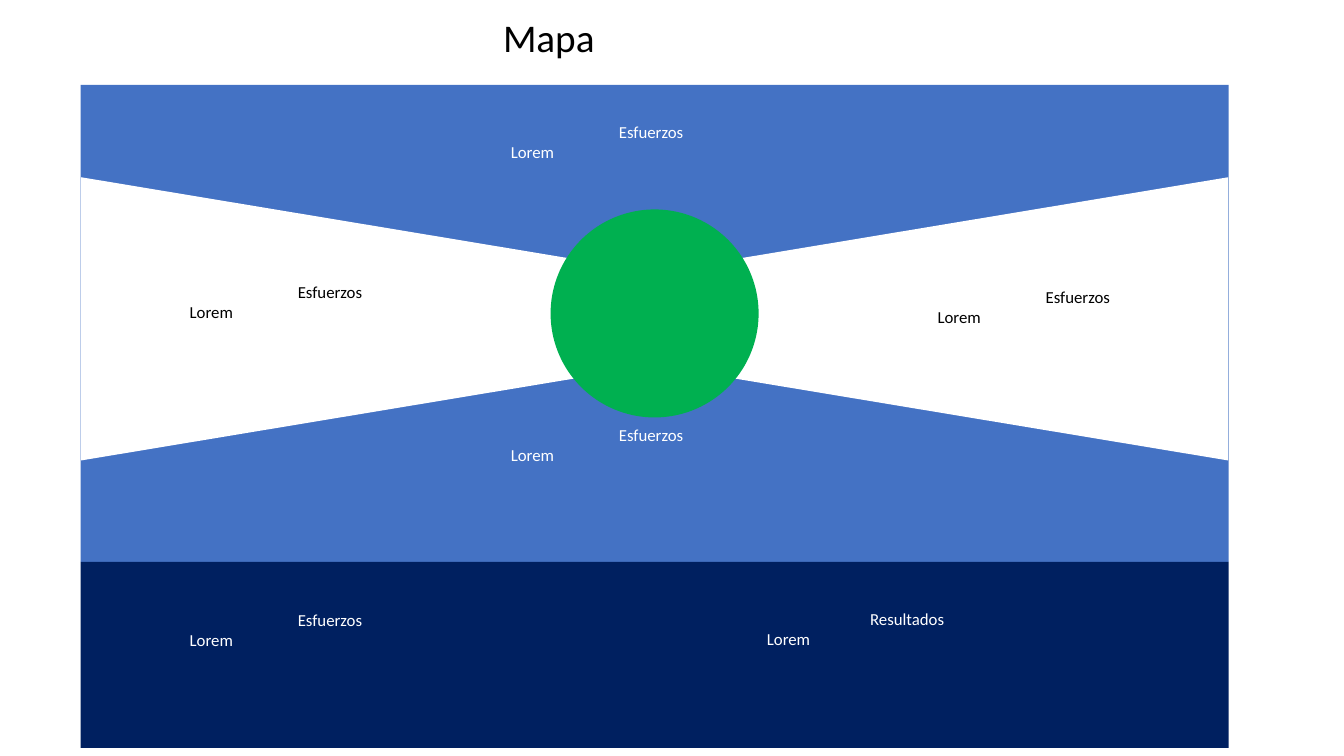
from dataclasses import dataclass

from pptx import Presentation
from pptx.dml.color import RGBColor
from pptx.enum.shapes import MSO_SHAPE
from pptx.enum.text import MSO_AUTO_SIZE, PP_ALIGN
from pptx.util import Pt


@dataclass(frozen=True)
class Theme:
    font: str = "Calibri"
    title_size: int = 28
    label_size: int = 12
    black: str = "000000"
    white: str = "FFFFFF"
    blue: str = "4472C4"
    navy: str = "002060"
    green: str = "00B050"


class MapSlide:
    def __init__(self, slide, theme):
        self.slide = slide
        self.theme = theme
        self.map_shapes = slide.shapes.add_group_shape().shapes

    def area(self, kind, left, top, width, height, color):
        area = self.map_shapes.add_shape(kind, Pt(left), Pt(top), Pt(width), Pt(height))
        area.shadow.inherit = False
        area.fill.solid()
        area.fill.fore_color.rgb = RGBColor.from_string(color)
        area.line.fill.background()
        return area

    def wedge(self, left, top, width, height, rotation):
        """Sideways trapezoid; left, top, width and height are as seen."""
        shift = (width - height) / 2
        wedge = self.area(MSO_SHAPE.TRAPEZOID, left + shift, top - shift,
                          height, width, self.theme.white)
        wedge.adjustments[0] = 0.338
        wedge.rotation = rotation

    def text(self, shapes, left, top, width, height, lines, size, color, wrap=True):
        frame = shapes.add_textbox(Pt(left), Pt(top), Pt(width), Pt(height)).text_frame
        frame.word_wrap = wrap
        frame.auto_size = MSO_AUTO_SIZE.SHAPE_TO_FIT_TEXT
        for index, (words, align) in enumerate(lines):
            paragraph = frame.paragraphs[0] if index == 0 else frame.add_paragraph()
            paragraph.alignment = align
            run = paragraph.add_run()
            run.text = words
            run.font.name = self.theme.font
            run.font.size = Pt(size)
            run.font.color.rgb = RGBColor.from_string(color)

    def title(self, words, left, top, width, height):
        self.text(self.slide.shapes, left, top, width, height, [(words, PP_ALIGN.LEFT)],
                  self.theme.title_size, self.theme.black, wrap=False)

    def label(self, heading, left, top, color):
        lines = [(heading, PP_ALIGN.CENTER), ("Lorem", PP_ALIGN.LEFT)]
        self.text(self.map_shapes, left, top, 214.6, 36, lines,
                  self.theme.label_size, color)


def main():
    presentation = Presentation()
    presentation.slide_width, presentation.slide_height = Pt(960), Pt(540)
    theme = Theme()
    slide = presentation.slides.add_slide(presentation.slide_layouts[6])
    empathy_map = MapSlide(slide, theme)

    # Title
    empathy_map.title("Mapa", 352.2, 5.8, 80.6, 41)

    # Upper area with two white wedges facing its centre
    map_left, map_width = 57.6, 820
    map_center = map_left + map_width / 2
    empathy_map.area(MSO_SHAPE.RECTANGLE, map_left, 60.6, map_width, 340.8, theme.blue)
    wedge_width, wedge_inset = 411.8, 0.3
    wedge_left = map_left + wedge_inset
    wedge_right = map_left + map_width - wedge_inset - wedge_width
    for left, rotation in ((wedge_left, 90), (wedge_right, 270)):
        empathy_map.wedge(left, 126.6, wedge_width, 202.3, rotation)

    # Lower area
    empathy_map.area(MSO_SHAPE.RECTANGLE, map_left, 401.4, map_width, 132.8, theme.navy)

    # Labels
    left_column, middle_column = 128.4, 357.8
    for heading, left, top, color in (
        ("Esfuerzos", left_column, 432.2, theme.white),
        ("Resultados", 540.7, 431.5, theme.white),
        ("Esfuerzos", middle_column, 83.5, theme.white),
        ("Esfuerzos", left_column, 197.6, theme.black),
        ("Esfuerzos", 662.6, 201.4, theme.black),
        ("Esfuerzos", middle_column, 299.8, theme.white),
    ):
        empathy_map.label(heading, left, top, color)

    # Central circle
    diameter = 148.6
    empathy_map.area(MSO_SHAPE.OVAL, map_center - diameter / 2, 149.6,
                     diameter, diameter, theme.green)

    presentation.save("out.pptx")


if __name__ == "__main__":
    main()
